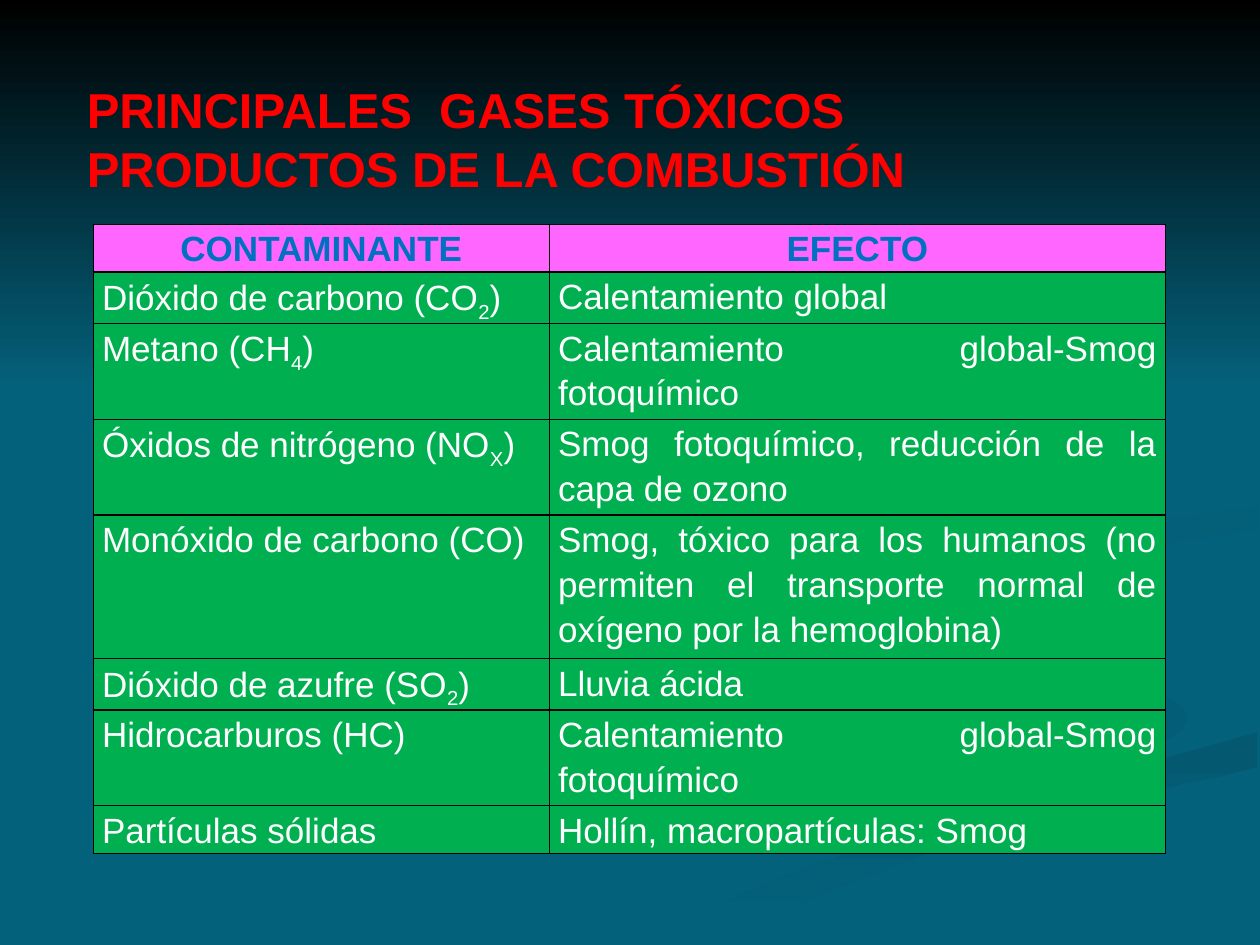
from lxml import etree
from pptx import Presentation
from pptx.dml.color import RGBColor
from pptx.enum.text import PP_ALIGN
from pptx.oxml.ns import qn
from pptx.util import Pt

PX = 9144  # 100 px to the inch
CENTER, JUSTIFY, LEFT = PP_ALIGN.CENTER, PP_ALIGN.JUSTIFY, PP_ALIGN.LEFT
BLANK_LAYOUT = 6
CURVE_STEPS = 5
FONT = "Arial"
TEAL, BLACK, WHITE, RED = "04617B", "000000", "FFFFFF", "FF0000"
PINK, BLUE, GREEN = "FF66FF", "0070C0", "00B050"

# Each ribbon: gradient start, gradient end, clockwise angle, two edges
RIBBONS = [
    (TEAL, "045D76", 0,
     [(575, 459), (683, 519), (800, 581), (564, 665), (361, 749)],
     [(300, 749), (499, 661), (786, 566), (679, 519), (575, 459)]),
    (TEAL, "045D76", 45,
     [(724, 464), (774, 503), (888, 535), (943, 570), (894, 605)],
     [(894, 605), (915, 571), (838, 536), (755, 505), (724, 464)]),
    ("045971", TEAL, 90,
     [(503, 749), (630, 693), (797, 638), (998, 581)],
     [(998, 609), (821, 651), (670, 702), (571, 749)]),
    ("045C74", TEAL, 45,
     [(826, 496), (805, 476), (859, 443), (998, 420)],
     [(998, 402), (865, 424), (782, 460), (826, 496)]),
    ("045A72", TEAL, 45,
     [(763, 233), (864, 291), (876, 378), (683, 430), (622, 500)],
     [(622, 500), (626, 426), (861, 370), (846, 279), (763, 233)]),
]

# Text between underscores is subscript
ROWS = [
    ("CONTAMINANTE", "EFECTO"),
    ("Dióxido de carbono (CO_2_)", "Calentamiento global"),
    ("Metano (CH_4_)", "Calentamiento global-Smog fotoquímico"),
    ("Óxidos de nitrógeno (NO_X_)",
     "Smog fotoquímico, reducción de la capa de ozono"),
    ("Monóxido de carbono (CO)",
     "Smog, tóxico para los humanos (no permiten el transporte normal de "
     "oxígeno por la hemoglobina)"),
    ("Dióxido de azufre (SO_2_)", "Lluvia ácida"),
    ("Hidrocarburos (HC)", "Calentamiento global-Smog fotoquímico"),
    ("Partículas sólidas", "Hollín, macropartículas: Smog"),
]
COLUMN_WIDTHS = [362, 489]
LINES_PER_ROW = [1, 1, 2, 2, 3, 1, 2, 1]
LINE_HEIGHT = 38


def color(value):
    return RGBColor.from_string(value)


def paint(fill, value):
    fill.solid()
    fill.fore_color.rgb = color(value)


def write(frame, text, *, size, ink, bold=False, align=LEFT, spacing=None):
    """Fill the first paragraph; text between underscores is subscript."""
    frame.word_wrap = True
    paragraph = frame.paragraphs[0]
    paragraph.alignment = align
    paragraph.line_spacing = spacing
    for index, part in enumerate(text.split("_")):
        run = paragraph.add_run()
        run.text = part
        font = run.font
        font.name, font.size, font.bold = FONT, Pt(size), bold
        font.color.rgb = color(ink)
        if index % 2:
            font._element.set("baseline", "-25000")


def smooth(anchors):
    """Return points of a Catmull-Rom curve through the anchors."""
    padded = [anchors[0], *anchors, anchors[-1]]
    points = []
    for before, start, end, after in zip(
            padded, padded[1:], padded[2:], padded[3:]):
        for step in range(CURVE_STEPS):
            t = step / CURVE_STEPS
            points.append(tuple(
                (2 * b + (c - a) * t + (2 * a - 5 * b + 4 * c - d) * t ** 2
                 + (3 * b - a - 3 * c + d) * t ** 3) / 2
                for a, b, c, d in zip(before, start, end, after)))
    return points + [anchors[-1]]


def add_outline(slide, points, start, end, angle, left, top):
    """Draw a closed outline with a two-colour fill, angle clockwise."""
    points = [(left + x, top + y) for x, y in points]
    builder = slide.shapes.build_freeform(*points[0], scale=PX)
    builder.add_line_segments(points[1:], close=True)
    shape = builder.convert_to_shape()
    shape.shadow.inherit = False
    shape.line.fill.background()
    shape.fill.gradient()
    shape.fill.gradient_angle = -angle % 360
    for stop, value in zip(shape.fill.gradient_stops, (start, end)):
        stop.color.rgb = color(value)


def add_backdrop(slide, left, top, width, height):
    paint(slide.background.fill, TEAL)
    for start, end, angle, outer, inner in RIBBONS:
        add_outline(slide, smooth(outer) + smooth(inner),
                    start, end, angle, left, top)
    sky = [(0, 0), (0, height), (width, height), (width, 0)]
    add_outline(slide, sky, BLACK, TEAL, 90, left, top)


def add_borders(cell, value, width):
    properties = cell._tc.get_or_add_tcPr()
    for side in ("lnL", "lnR", "lnT", "lnB"):
        line = etree.SubElement(properties, qn(f"a:{side}"), w=str(Pt(width)))
        fill = etree.SubElement(line, qn("a:solidFill"))
        etree.SubElement(fill, qn("a:srgbClr"), val=value)


def add_pollutant_table(slide, left, top):
    heights = [LINE_HEIGHT * lines for lines in LINES_PER_ROW]
    table = slide.shapes.add_table(
        len(ROWS), len(COLUMN_WIDTHS), left * PX, top * PX,
        sum(COLUMN_WIDTHS) * PX, sum(heights) * PX).table
    table.first_row = table.horz_banding = False
    for column, width in zip(table.columns, COLUMN_WIDTHS):
        column.width = width * PX
    for row_index, (row, height) in enumerate(zip(table.rows, heights)):
        row.height = height * PX
        header = row_index == 0
        for cell, text in zip(row.cells, ROWS[row_index]):
            cell.margin_left = cell.margin_right = 7 * PX
            cell.margin_top = cell.margin_bottom = 0
            add_borders(cell, BLACK, 1)
            paint(cell.fill, PINK if header else GREEN)
            write(cell.text_frame, text, size=20, bold=header, spacing=1.15,
                  ink=BLUE if header else WHITE,
                  align=CENTER if header else JUSTIFY)


def add_title(slide, left, top, width, height):
    box = slide.shapes.add_textbox(left * PX, top * PX, width * PX, height * PX)
    write(box.text_frame,
          "PRINCIPALES  GASES TÓXICOS PRODUCTOS DE LA COMBUSTIÓN",
          size=28, ink=RED, bold=True)


def main():
    presentation = Presentation()
    presentation.slide_width, presentation.slide_height = 1000 * PX, 750 * PX
    slide = presentation.slides.add_slide(
        presentation.slide_layouts[BLANK_LAYOUT])
    add_backdrop(slide, 0, 0, 1000, 308)
    add_pollutant_table(slide, 74, 178)
    add_title(slide, 59, 58, 812, 104)
    presentation.save("out.pptx")


if __name__ == "__main__":
    main()
